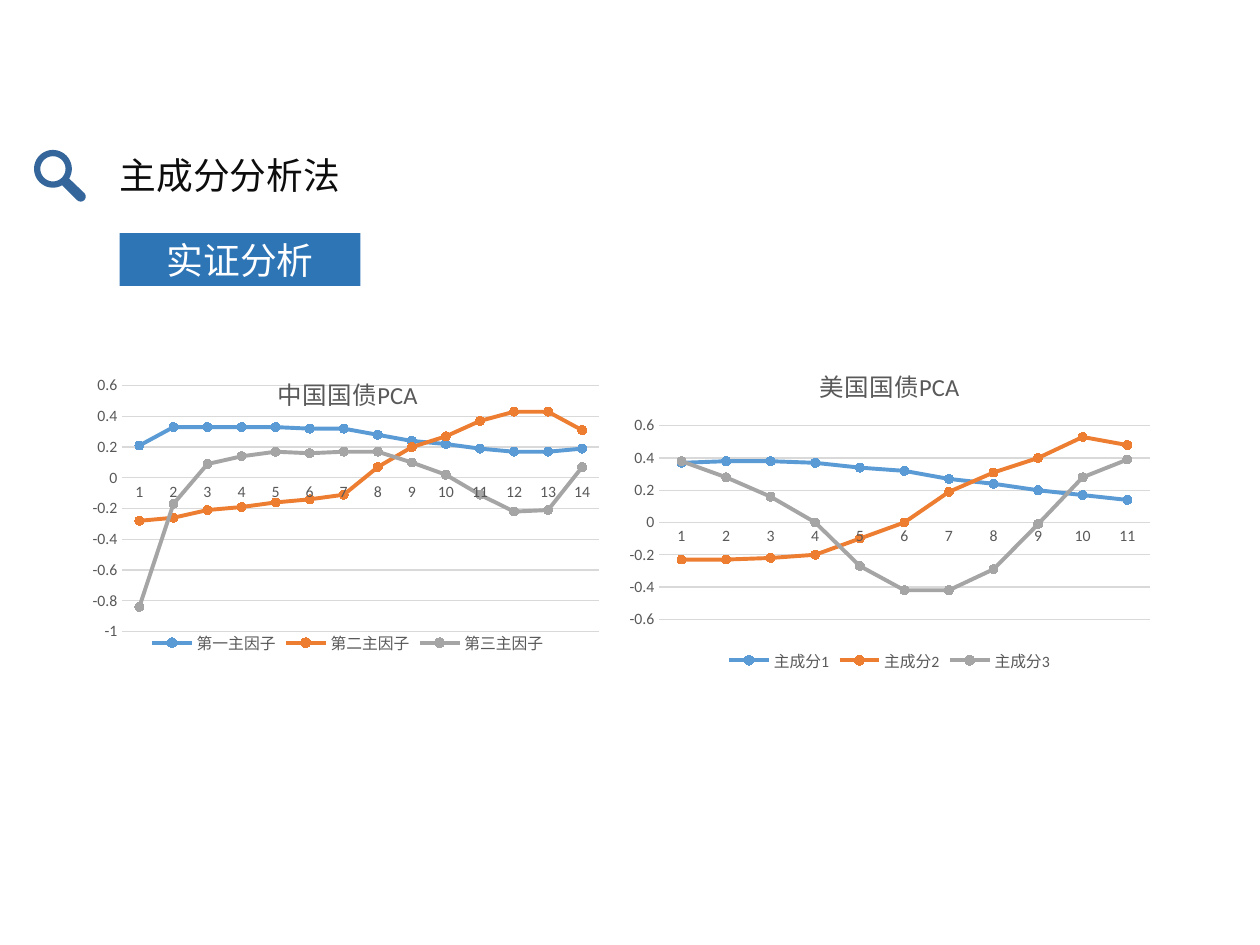
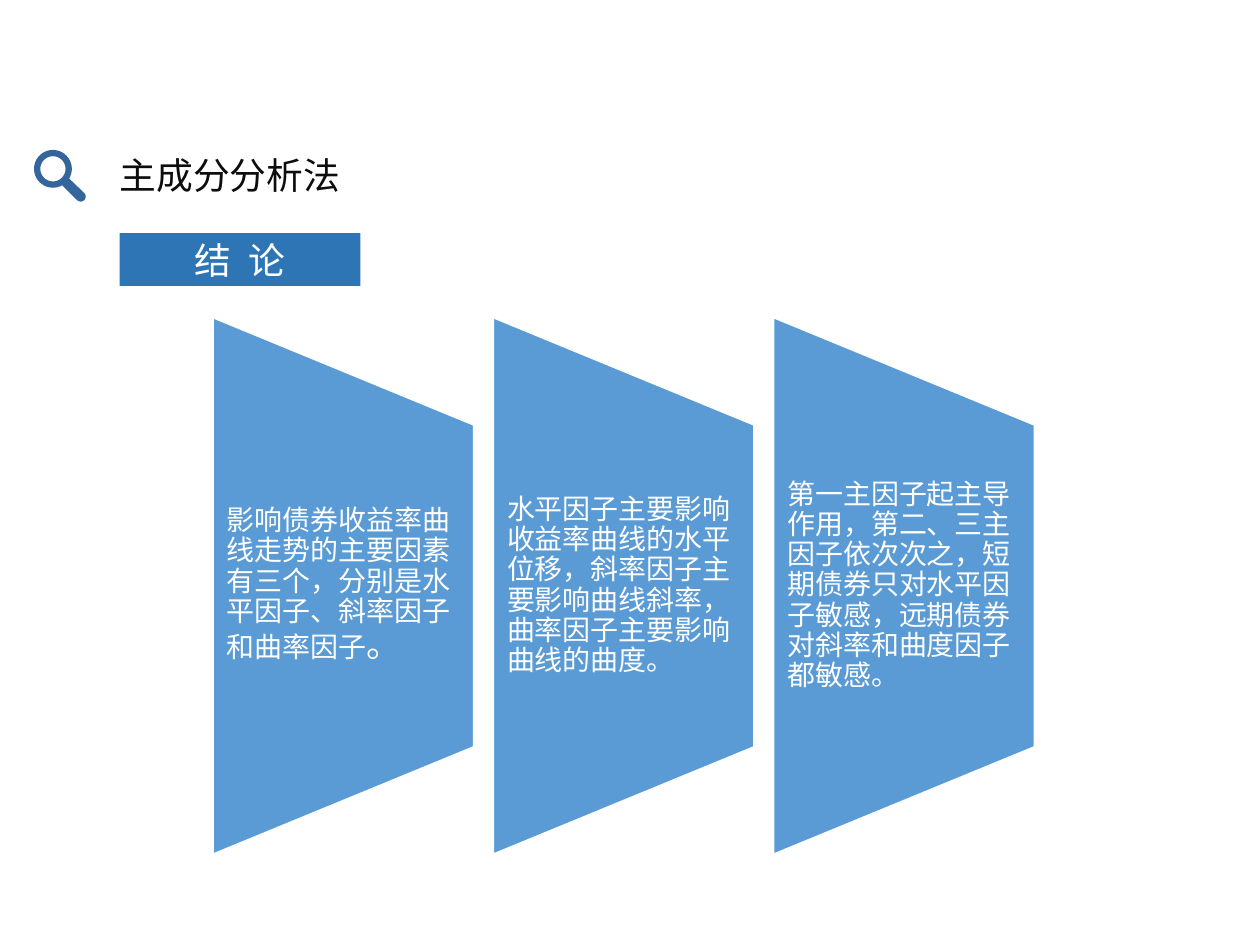
from math import cos, radians, sin

from lxml.etree import SubElement
from pptx import Presentation
from pptx.chart.data import CategoryChartData
from pptx.dml.color import RGBColor
from pptx.enum.chart import XL_CHART_TYPE as Chart, XL_LEGEND_POSITION as Legend
from pptx.enum.chart import XL_MARKER_STYLE as Marker, XL_TICK_MARK as Tick
from pptx.enum.shapes import MSO_SHAPE as Shape
from pptx.enum.text import MSO_ANCHOR as Anchor, MSO_AUTO_SIZE as AutoSize, PP_ALIGN as Align
from pptx.oxml import parse_xml
from pptx.oxml.ns import nsdecls, qn
from pptx.util import Inches, Pt

# Content
TITLE = "主成分分析法"
# Band text and letter spacing in points
BANDS = [("实证分析", 0), ("结 论", 2.5)]
CHARTS = [
    {
        "title": "中国国债PCA", "at": (0.68, 2.82, 4.16, 2.41),
        "plot": {"x": 0.07, "y": 0.1, "w": 0.91, "h": 0.81},
        "series": {
            "第一主因子": [0.21, 0.33, 0.33, 0.33, 0.33, 0.32, 0.32,
                      0.28, 0.24, 0.22, 0.19, 0.17, 0.17, 0.19],
            "第二主因子": [-0.28, -0.26, -0.21, -0.19, -0.16, -0.14, -0.11,
                      0.07, 0.2, 0.27, 0.37, 0.43, 0.43, 0.31],
            "第三主因子": [-0.84, -0.17, 0.09, 0.14, 0.17, 0.16, 0.17,
                      0.17, 0.1, 0.02, -0.11, -0.22, -0.21, 0.07],
        },
    },
    {
        "title": "美国国债PCA", "at": (4.91, 2.75, 4.3, 2.62),
        "plot": None,
        "series": {
            "主成分1": [0.37, 0.38, 0.38, 0.37, 0.34, 0.32, 0.27, 0.24, 0.2, 0.17, 0.14],
            "主成分2": [-0.23, -0.23, -0.22, -0.2, -0.1, 0, 0.19, 0.31, 0.4, 0.53, 0.48],
            "主成分3": [0.38, 0.28, 0.16, 0, -0.27, -0.42, -0.42, -0.29, -0.01, 0.28, 0.39],
        },
    },
]
# Each conclusion is a list of (text, size) runs
CONCLUSIONS = [
    [("影响债券收益率曲线走势的主要因素有三个，分别是水平因子、斜率因子和曲率因子", 16), ("。", 20)],
    [("水平因子主要影响收益率曲线的水平位移，斜率因子主要影响曲线斜率，曲率因子主要影响曲线的曲度。", 16)],
    [("第一主因子起主导作用，第二、三主因子依次次之，短期债券只对水平因子敏感，"
      "远期债券对斜率和曲度因子都敏感。", 16)],
]

# Shared style
COLORS = {
    "title": "0D0D0D", "icon": "35669B", "band": "2E75B6", "panel": "5B9BD5",
    "white": "FFFFFF", "label": "595959", "grid": "D9D9D9",
}
SERIES_COLORS = ["5B9BD5", "ED7D31", "A5A5A5"]
LATIN, CJK = "Calibri", "Noto Sans CJK SC"


def rgb(value):
    return RGBColor.from_string(value)


def box(left, top, width, height):
    return [Inches(v) for v in (left, top, width, height)]


def place(sp, *at):
    sp.left, sp.top, sp.width, sp.height = box(*at)


def set_font(font, size, color, name=LATIN):
    font.size, font.name = Pt(size), name
    font.color.rgb = rgb(color)


def style_paragraph(p, size, color, align, name=CJK, spacing=0):
    set_font(p.font, size, color, name)
    p.alignment = align
    props = p._p.pPr.find(qn("a:defRPr"))
    SubElement(props, qn("a:ea"), typeface=CJK)
    if spacing:
        props.set("spc", str(int(spacing * 100)))


def set_frame(tf, side=0):
    tf.word_wrap, tf.auto_size = True, AutoSize.NONE
    tf.vertical_anchor = Anchor.MIDDLE
    tf.margin_left = tf.margin_right = Inches(side)
    tf.margin_top = tf.margin_bottom = 0


def paint(sp, fill, line=None):
    sp.shadow.inherit = False
    sp.fill.solid()
    sp.fill.fore_color.rgb = rgb(fill)
    if line:
        sp.line.color.rgb = rgb(line)
        sp.line.width = Pt(1)
    else:
        sp.line.fill.background()


def arc(cx, cy, radius, start, end, steps=40):
    angles = [radians(start + (end - start) * i / steps) for i in range(steps + 1)]
    return [(Inches(cx + radius * cos(a)), Inches(cy + radius * sin(a))) for a in angles]


def add_magnifier(slide):
    lens = (0.42, 1.34)
    # The lens rim and the rounded handle end make one outline, the glass a hole
    outline = arc(*lens, 0.15, 31, -299) + arc(0.64, 1.56, 0.04, 135, -45, 12)
    glass = arc(*lens, 0.1, 0, 360)
    builder = slide.shapes.build_freeform(*outline[0], scale=1.0)
    builder.add_line_segments(outline[1:], close=True)
    builder.move_to(*glass[0])
    builder.add_line_segments(glass[1:], close=True)
    paint(builder.convert_to_shape(), COLORS["icon"])


def add_slide(prs, band_text, band_spacing):
    slide = prs.slides.add_slide(prs.slide_layouts[5])
    title = slide.shapes.title
    place(title, 0.95, 1.21, 2.66, 0.35)
    set_frame(title.text_frame)
    title.text_frame.text = TITLE
    style_paragraph(title.text_frame.paragraphs[0], 21, COLORS["title"], Align.JUSTIFY)
    add_magnifier(slide)

    band = slide.shapes.add_shape(Shape.RECTANGLE, *box(0.95, 1.85, 1.91, 0.42))
    paint(band, COLORS["band"])
    set_frame(band.text_frame)
    band.text_frame.text = band_text
    style_paragraph(band.text_frame.paragraphs[0], 21, COLORS["white"], Align.CENTER,
                    LATIN, band_spacing)
    return slide


def set_plot_layout(chart, plot):
    area = chart._chartSpace.chart.plotArea
    for old in area.findall(qn("c:layout")):
        area.remove(old)
    modes = '<c:layoutTarget val="inner"/><c:xMode val="edge"/><c:yMode val="edge"/>'
    sizes = "".join(f'<c:{key} val="{value}"/>' for key, value in plot.items())
    area.insert(0, parse_xml(f'<c:layout {nsdecls("c")}><c:manualLayout>{modes}{sizes}'
                             '</c:manualLayout></c:layout>'))


def add_factor_chart(slide, item):
    data = CategoryChartData(number_format="General")
    count = len(next(iter(item["series"].values())))
    data.categories = [str(n) for n in range(1, count + 1)]
    for name, values in item["series"].items():
        data.add_series(name, values)
    chart = slide.shapes.add_chart(Chart.LINE_MARKERS, *box(*item["at"]), data).chart
    set_font(chart.font, 10, COLORS["label"])

    # Title and legend
    chart.has_title = True
    tf = chart.chart_title.text_frame
    tf.text = item["title"]
    set_font(tf.paragraphs[0].font, 14, COLORS["label"])
    tf.paragraphs[0].font.bold = False
    chart.has_legend = True
    chart.legend.position = Legend.BOTTOM
    chart.legend.include_in_layout = False
    set_font(chart.legend.font, 9, COLORS["label"])

    # Axes, with automatic scales
    for axis in (chart.category_axis, chart.value_axis):
        axis.major_tick_mark = axis.minor_tick_mark = Tick.NONE
        set_font(axis.tick_labels.font, 9, COLORS["label"])
    values = chart.value_axis
    values.format.line.fill.background()
    for line in (chart.category_axis.format.line, values.major_gridlines.format.line):
        line.color.rgb = rgb(COLORS["grid"])
        line.width = Pt(0.75)

    # Series
    chart.plots[0].vary_by_categories = False
    for series, color in zip(chart.plots[0].series, SERIES_COLORS):
        series.smooth = False
        series.format.line.color.rgb = rgb(color)
        series.format.line.width = Pt(2.25)
        series.marker.style, series.marker.size = Marker.CIRCLE, 5
        series.marker.format.fill.solid()
        series.marker.format.fill.fore_color.rgb = rgb(color)
        series.marker.format.line.color.rgb = rgb(color)
    if item["plot"]:
        set_plot_layout(chart, item["plot"])


def add_conclusions(slide):
    first, last, middle = 1.69, 6.14, 4.65
    width, height, text_height = 2.07, 4.26, 2.55
    pitch = (last - first) / (len(CONCLUSIONS) - 1)
    for i, runs in enumerate(CONCLUSIONS):
        left = first + i * pitch
        # The panel is laid out lying down, then turned about its centre
        panel = slide.shapes.add_shape(
            Shape.FLOWCHART_MANUAL_OPERATION,
            *box(left + (width - height) / 2, middle - width / 2, height, width))
        panel.rotation = 270
        paint(panel, COLORS["panel"], COLORS["white"])

        text = slide.shapes.add_textbox(*box(left, middle - text_height / 2, width, text_height))
        set_frame(text.text_frame, side=0.11)
        p = text.text_frame.paragraphs[0]
        p.line_spacing = 0.9
        style_paragraph(p, runs[0][1], COLORS["white"], Align.LEFT)
        for words, size in runs:
            r = p.add_run()
            r.text = words
            if size != runs[0][1]:
                r.font.size = Pt(size)


def main():
    prs = Presentation()
    prs.slide_width, prs.slide_height = Inches(10), Inches(7.5)
    evidence, conclusion = [add_slide(prs, *band) for band in BANDS]
    for item in CHARTS:
        add_factor_chart(evidence, item)
    add_conclusions(conclusion)
    prs.save("out.pptx")


if __name__ == "__main__":
    main()
